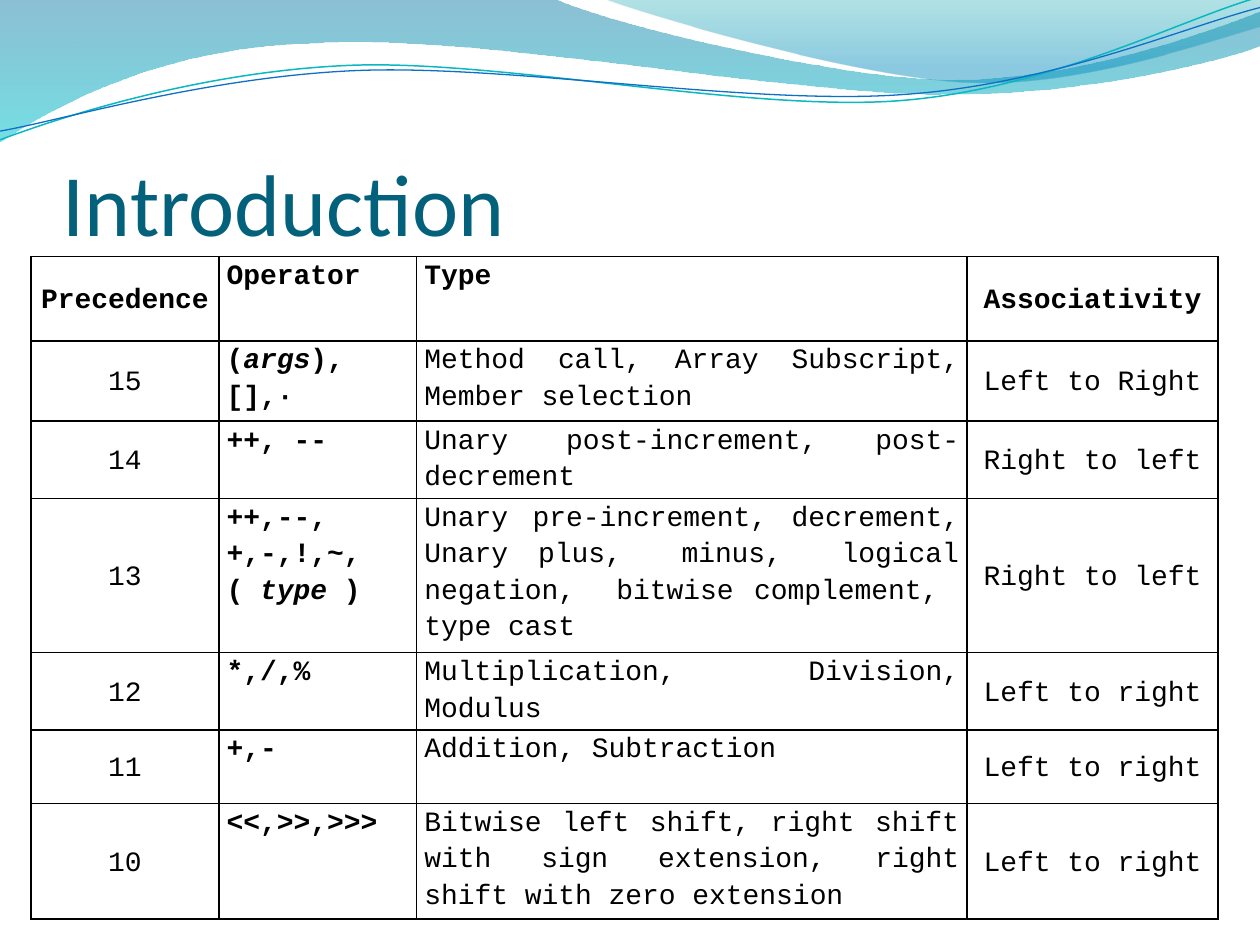
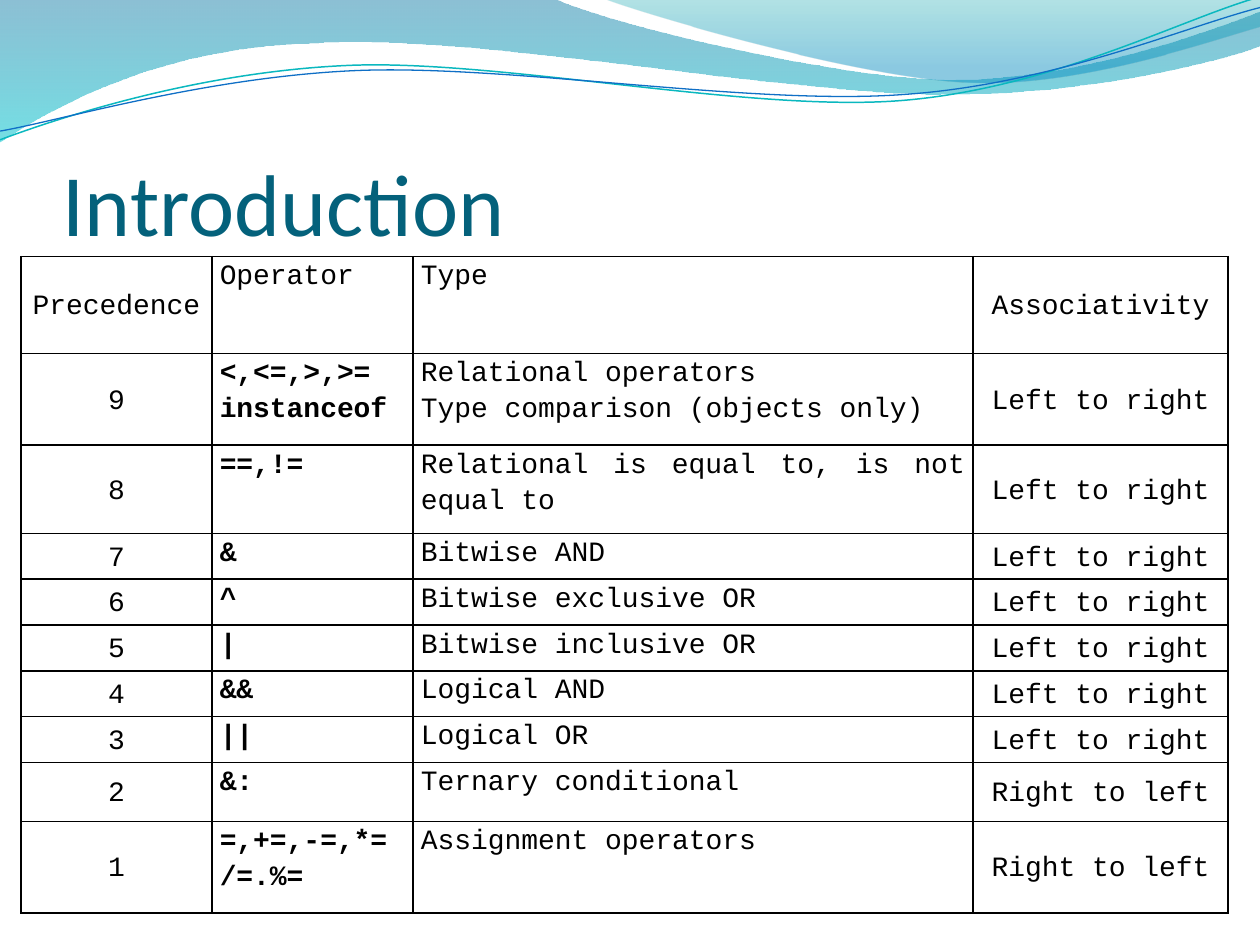
"""Build two slides that list operators by precedence."""
from lxml.etree import Element, SubElement
from pptx import Presentation
from pptx.dml.color import RGBColor
from pptx.enum.text import MSO_ANCHOR, PP_ALIGN
from pptx.oxml.ns import qn
from pptx.util import Pt

TITLE = "Introduction"
HEADS = ("Precedence", "Operator", "Type", "Associativity")
RIGHT, LEFT = "Left to right", "Right to left"
SHARES = (149, 157, 437, 199)
TOP = 146.6
INK, TEAL = "000000", "04617B"

PAGES = [
    dict(left=17.8, width=678.2, bold=True, highs=(48.2, 45.8, 43.9, 87.8, 41.7, 42, 66), rows=[
        ("15", "(_args_),[],·", "Method call, Array Subscript, Member selection", "Left to Right"),
        ("14", "++, --", "Unary post-increment, post-decrement", LEFT),
        ("13", "++,--,+,-,!,~,\n( _type_ )",
         "Unary pre-increment, decrement, Unary plus,  minus,  logical negation,"
         "  bitwise complement,  type cast", LEFT),
        ("12", "*,/,%", "Multiplication, Division, Modulus", RIGHT),
        ("11", "+,-", "Addition, Subtraction", RIGHT),
        ("10", "<<,>>,>>>",
         "Bitwise left shift, right shift with sign extension, right shift with zero extension", RIGHT),
    ]),
    dict(left=12, width=689.8, bold=False, highs=(55.4, 52.4, 50.4, *[26.2] * 5, 33.6, 52.4), rows=[
        ("9", "<,<=,>,>=\ninstanceof", "Relational operators\nType comparison (objects only)", RIGHT),
        ("8", "==,!=", "Relational is equal to, is not equal to", RIGHT),
        ("7", "&", "Bitwise AND", RIGHT),
        ("6", "^", "Bitwise exclusive OR", RIGHT),
        ("5", "|", "Bitwise inclusive OR", RIGHT),
        ("4", "&&", "Logical AND", RIGHT),
        ("3", "||", "Logical OR", RIGHT),
        ("2", "&:", "Ternary conditional", LEFT),
        ("1", "=,+=,-=,*=\n/=.%=", "Assignment operators", LEFT),
    ]),
]

BANDS = [
    ([(0, 0), (316.8, -0.7), (342.7, 12.2, 478.1, 45.4, 545.8, 45.4),
      (614.2, 45.4, 689.8, 18.7, 720, 6.5), (720.7, 25.9),
      (707.8, 31.7, 626.4, 54.7, 537.1, 54), (447.8, 54, 275, 20.2, 185, 24.5),
      (92.9, 25.9, 33.1, 59.8, -0.7, 81.4), (0, 0)],
     [(0, "0074A1", 45), (1, "00C6CF", 55)]),
    ([(344.9, -0.7), (366.5, 7.9, 491, 44.6, 553.7, 46.8),
      (616.3, 49.7, 691.9, 23, 720, 15.1), (720, 0), (344.9, -0.7)],
     [(0, "00A1A9", 30), (0.8, "008BBF", 45)]),
]
WAVES = [
    ([(0, 79.9), (34.6, 67, 113.8, 41, 199.4, 37.4),
      (284.4, 33.8, 427, 64.1, 513.4, 57.6), (599.8, 51.1, 675.4, 10.8, 718.6, -1.4)],
     "0AB8BF", 0.85),
    ([(0, 74.9), (33.8, 69.1, 118.1, 43.9, 203.8, 40.3),
      (290.2, 36.7, 429.8, 60.5, 516.2, 54), (601.9, 48.2, 677.5, 15.1, 720, 4.3)],
     "0F6FC6", 0.75),
]


def tint(code):
    return RGBColor.from_string(code)


def write(frame, text, size=16, font="Courier New", color=INK, bold=False, align=None, space=None):
    frame.word_wrap = True
    for i, line in enumerate(text.split("\n")):
        para = frame.add_paragraph() if i else frame.paragraphs[0]
        para.alignment, para.line_spacing = align, space
        for j, part in enumerate(line.split("_")):
            run = para.add_run()
            run.text = part
            face = run.font
            face.name, face.size, face.bold, face.italic = font, Pt(size), bold, j % 2 == 1
            face.color.rgb = tint(color)


def curve(slide, route, close):
    dots = [(Pt(leg[-2]), Pt(leg[-1])) for leg in route]
    pen = slide.shapes.build_freeform(*dots[0])
    pen.add_line_segments(dots[1:], close=close)
    shape = pen.convert_to_shape()
    shape.shadow.inherit = False
    for node, leg in zip(list(shape.element.iter(qn("a:lnTo"))), route[1:]):
        if len(leg) == 6:
            node.tag = qn("a:cubicBezTo")
            for k in (0, 1):
                x, y = leg[2 * k:2 * k + 2]
                node.insert(k, Element(qn("a:pt"), x=str(Pt(x) - shape.left), y=str(Pt(y) - shape.top)))
    return shape


def deck(slide, home):
    forms = []
    for route, stops in BANDS:
        band = curve(slide, route, True)
        band.line.fill.background()
        band.fill.gradient()
        band.fill.gradient_angle = 270
        for stop, (place, code, _) in zip(band.fill.gradient_stops, stops):
            stop.position, stop.color.rgb = place, tint(code)
        for node, (_, _, alpha) in zip(band.element.spPr.iter(qn("a:srgbClr")), stops):
            SubElement(node, qn("a:alpha"), val=str(alpha * 1000))
        forms.append(band)
    for route, code, width in WAVES:
        wave = curve(slide, route, False)
        wave.fill.background()
        wave.line.color.rgb, wave.line.width = tint(code), Pt(width)
        forms.append(wave)
    for form in forms:
        home.shapes.element.append(form.element)


def edge(cell):
    props = cell._tc.get_or_add_tcPr()
    for side in "LRTB":
        line = SubElement(props, qn("a:ln" + side), w=str(Pt(1)))
        SubElement(SubElement(line, qn("a:solidFill")), qn("a:srgbClr"), val=INK)


def grid(slide, left, width, bold, highs, rows):
    rows = [HEADS, *rows]
    table = slide.shapes.add_table(len(rows), len(HEADS), Pt(left), Pt(TOP),
                                   Pt(width), Pt(sum(highs))).table
    table.first_row = table.horz_banding = False
    for col, share in zip(table.columns, SHARES):
        col.width = Pt(width * share / sum(SHARES))
    for r, (row, high) in enumerate(zip(rows, highs)):
        table.rows[r].height = Pt(high)
        for c, text in enumerate(row):
            cell, outer = table.cell(r, c), c in (0, 3)
            edge(cell)
            cell.fill.background()
            cell.margin_left = cell.margin_right = Pt(4.5)
            cell.margin_top = cell.margin_bottom = 0
            cell.vertical_anchor = MSO_ANCHOR.MIDDLE if outer else MSO_ANCHOR.TOP
            write(cell.text_frame, text, bold=c == 1 if r else bold, space=1.15,
                  align=PP_ALIGN.CENTER if outer else PP_ALIGN.JUSTIFY)


def head(slide):
    frame = slide.shapes.add_textbox(Pt(36), Pt(55.4), Pt(648), Pt(90)).text_frame
    frame.margin_left = frame.margin_right = frame.margin_bottom = 0
    frame.margin_top = Pt(3.6)
    frame.vertical_anchor = MSO_ANCHOR.BOTTOM
    write(frame, TITLE, size=50, font="Calibri", color=TEAL)


show = Presentation()
show.slide_width, show.slide_height = Pt(720), Pt(540)
blank = show.slide_layouts[6]
for n, page in enumerate(PAGES):
    slide = show.slides.add_slide(blank)
    if n == 0:
        deck(slide, blank)
    head(slide)
    grid(slide, **page)
show.save("out.pptx")
